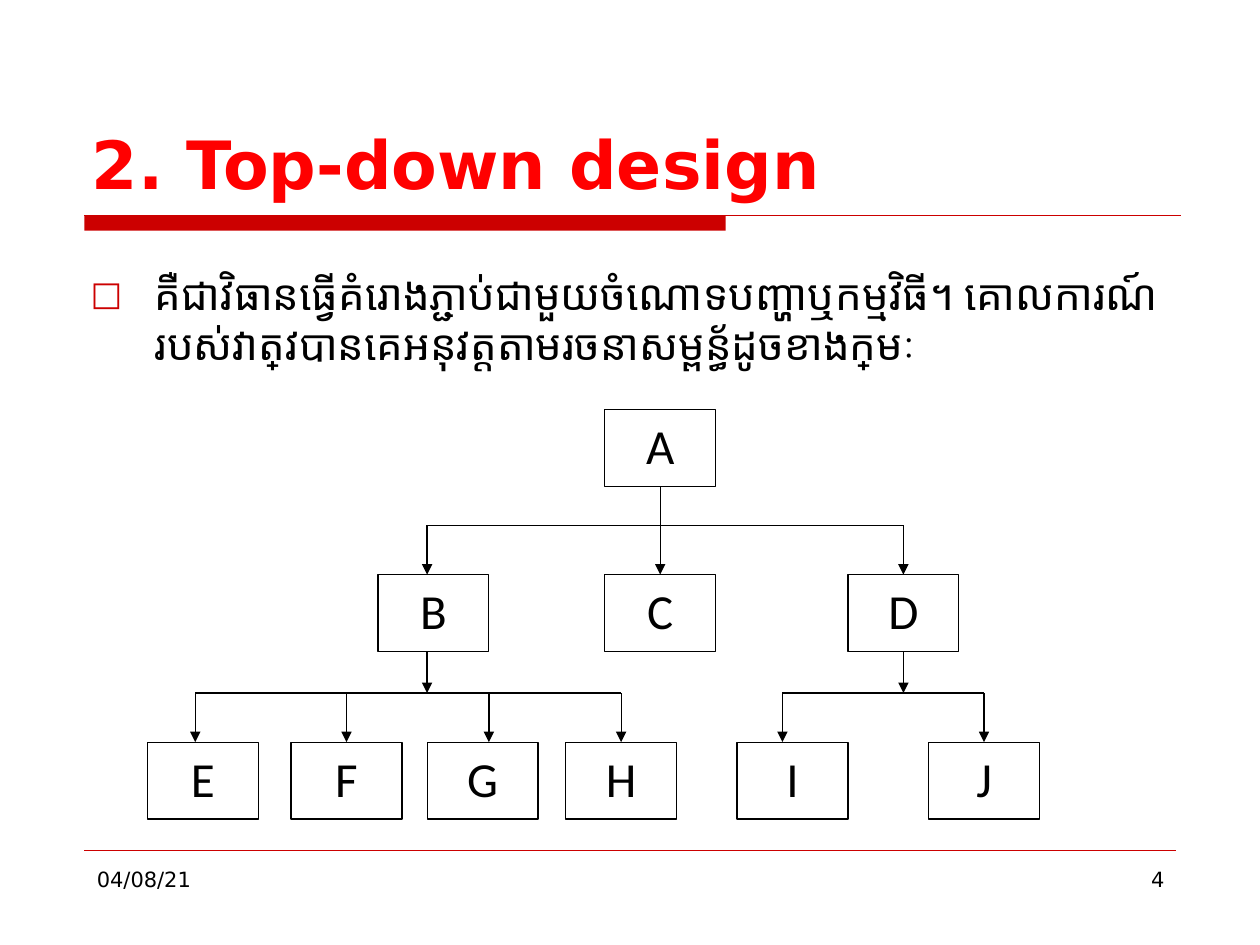
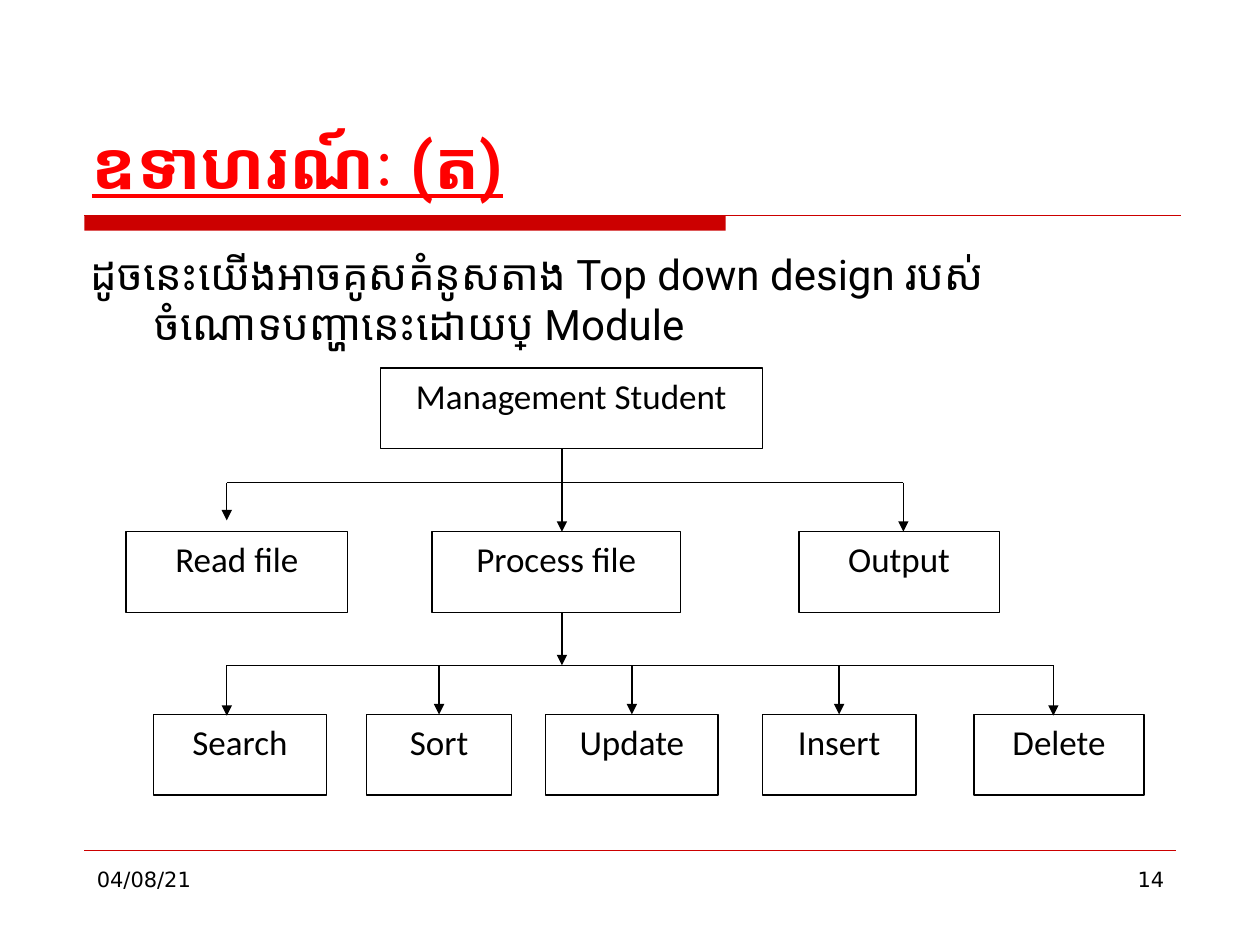
from dataclasses import dataclass

from lxml.etree import SubElement
from pptx import Presentation
from pptx.dml.color import RGBColor
from pptx.enum.shapes import MSO_CONNECTOR, MSO_SHAPE
from pptx.enum.text import MSO_ANCHOR, MSO_AUTO_SIZE, PP_ALIGN
from pptx.oxml.ns import qn
from pptx.util import Inches, Pt


@dataclass(frozen=True)
class Theme:
    red: str = "FF0000"
    band: str = "CC0000"
    ink: str = "000000"
    paper: str = "FFFFFF"
    sans: str = "DejaVu Sans"
    khmer: str = "Roboto"
    label: str = "Calibri"
    title: int = 38
    body: int = 24
    foot: int = 12
    thin: float = 0.25
    line: float = 0.75
    near: float = 0.035  # an arrow this close to a side's middle joins it


def apply(target, values):
    for name, value in values.items():
        setattr(target, name, value)


def sub(parent, tag, **attrs):
    return SubElement(parent, qn(tag), attrs)


class Deck:
    def __init__(self, theme):
        self.theme = theme
        self.file = Presentation()
        apply(self.file, dict(slide_width=Inches(10), slide_height=Inches(7.5)))

    def page(self, number):
        """Start a slide with its title band, footer rule, date and number."""
        t = self.theme
        self.slide = self.file.slides.add_slide(self.file.slide_layouts[1])
        self.shapes = self.slide.shapes
        self.boxes = []
        self.rect(0.67, 1.71, 5.09, 0.12, t.band)
        self.line((0.67, 1.71), (9.37, 1.71), t.band)
        self.line((0.67, 6.75), (9.33, 6.75), t.band, t.thin)
        self.note(0.67, "04/08/21", PP_ALIGN.LEFT)
        self.note(7.17, number, PP_ALIGN.RIGHT)

    def label(self, shape, text, font, size, color=None, align=PP_ALIGN.LEFT,
              anchor=MSO_ANCHOR.TOP, **marks):
        frame = shape.text_frame
        apply(frame, dict(word_wrap=True, auto_size=MSO_AUTO_SIZE.NONE,
                          vertical_anchor=anchor))
        para = frame.paragraphs[0]
        apply(para, dict(alignment=align, space_before=Pt(0)))
        run = para.add_run()
        run.text = text
        apply(run.font, dict(name=font, size=Pt(size), **marks))
        run.font.color.rgb = RGBColor.from_string(color or self.theme.ink)
        sub(run.font._element, "a:cs", typeface=font)
        return para

    def place(self, shape, left, top, width, height):
        apply(shape, dict(left=Inches(left), top=Inches(top),
                          width=Inches(width), height=Inches(height)))

    def title(self, text, font, **marks):
        shape = self.shapes.title
        self.place(shape, 0.63, 0.33, 8.75, 1.33)
        self.label(shape, text, font, self.theme.title, self.theme.red,
                   anchor=MSO_ANCHOR.BOTTOM, bold=True, **marks)

    def body(self, text, top, height, bullet=None):
        t = self.theme
        shape = self.slide.placeholders[1]
        self.place(shape, 0.62, top, 8.75, height)
        para = self.label(shape, text, t.khmer, t.body)
        props = para._p.get_or_add_pPr()
        props.set("marL", str(Inches(0.51)))
        props.set("indent", str(-Inches(0.51)))
        if bullet:
            sub(sub(props, "a:buClr"), "a:srgbClr", val=t.band)
            sub(props, "a:buSzPct", val="80000")
            sub(props, "a:buFont", typeface=t.sans)
            sub(props, "a:buChar", char=bullet)
        else:
            sub(props, "a:buNone")

    def note(self, left, text, align):
        shape = self.shapes.add_textbox(Inches(left), Inches(6.83), Inches(2.17), Inches(0.52))
        self.label(shape, text, self.theme.sans, self.theme.foot, align=align)

    def rect(self, left, top, width, height, fill):
        shape = self.shapes.add_shape(MSO_SHAPE.RECTANGLE, Inches(left), Inches(top),
                                      Inches(width), Inches(height))
        shape.shadow.inherit = False
        shape.fill.solid()
        shape.fill.fore_color.rgb = RGBColor.from_string(fill)
        shape.line.fill.background()
        return shape

    def row(self, top, height, size, cells):
        """Draw one level of boxes; a cell is (text, left, width)."""
        t = self.theme
        for text, left, width in cells:
            box = self.rect(left, top, width, height, t.paper)
            box.line.color.rgb = RGBColor.from_string(t.ink)
            box.line.width = Pt(t.line)
            para = self.label(box, text, t.label, size, align=PP_ALIGN.CENTER)
            para.space_after = Pt(10)
            self.boxes.append((box, left + width / 2, top, top + height))

    def line(self, start, end, color=None, width=None, head=False):
        t = self.theme
        link = self.shapes.add_connector(MSO_CONNECTOR.STRAIGHT,
                                         *map(Inches, (*start, *end)))
        link.line.color.rgb = RGBColor.from_string(color or t.ink)
        link.line.width = Pt(width or t.line)
        if head:
            sub(link.line._get_or_add_ln(), "a:tailEnd", type="triangle")
        sub(link._element.spPr, "a:effectLst")
        return link

    def drop(self, x, top, end):
        """Draw a downward arrow, joined to boxes it meets, and return its x."""
        near = self.theme.near
        close = [item for item in self.boxes if abs(item[1] - x) < near]
        above = [item for item in close if abs(item[3] - top) < near]
        below = [item for item in close if abs(item[2] - end) < near]
        for item in above + below:
            x = item[1]
        link = self.line((x, top), (x, end), head=True)
        if above:
            link.begin_connect(above[0][0], 2)
        if below:
            link.end_connect(below[0][0], 0)
        return x

    def fork(self, y, ends):
        """Draw a bar at y with an arrow from it at each x in ends."""
        spots = [self.drop(x, y, end) for x, end in ends.items()]
        self.line((min(spots), y), (max(spots), y))


def design(deck):
    deck.page("4")
    deck.title("2. Top-down design", deck.theme.sans)
    deck.body("គឺជាវិធានធ្វើគំរោងភ្ជាប់ជាមួយចំណោទបញ្ហាឬកម្មវិធី។ "
              "គោលការណ៍របស់វាត្រូវបានគេអនុវត្តតាមរចនាសម្ពន្ធ័ដូចខាងក្រោមៈ",
              2.08, 4.5, "□")
    levels = {3.25: {"A": 4.8},
              4.56: {"B": 3, "C": 4.8, "D": 6.73},
              5.89: {"E": 1.17, "F": 2.31, "G": 3.39, "H": 4.49, "I": 5.85, "J": 7.37}}
    for top, cells in levels.items():
        deck.row(top, 0.61, 28, [(name, left, 0.88) for name, left in cells.items()])
    deck.drop(5.22, 3.86, 4.56)
    deck.fork(4.17, dict.fromkeys((3.39, 7.2), 4.56))
    for stem, leaves in ((3.39, (1.55, 2.76, 3.88, 4.95)), (7.2, (6.21, 7.83))):
        deck.drop(stem, 5.17, 5.5)
        deck.fork(5.5, dict.fromkeys(leaves, 5.89))


def sample(deck):
    deck.page("14")
    deck.title("ឧទាហរណ៍ៈ (ត)", deck.theme.khmer, underline=True)
    deck.body("ដូចនេះយើងអាចគូសគំនូសតាង Top down design "
              "របស់ចំណោទបញ្ហានេះដោយប្រើ Module", 1.92, 4.67)
    levels = {
        2.92: [("Management Student", 3.02, 3.03)],
        4.22: [("Read file", 1, 1.76), ("Process file", 3.43, 1.97), ("Output", 6.34, 1.59)],
        5.67: [("Search", 1.22, 1.37), ("Sort", 2.91, 1.15), ("Update", 4.33, 1.37),
               ("Insert", 6.05, 1.22), ("Delete", 7.73, 1.35)],
    }
    for top, cells in levels.items():
        deck.row(top, 0.64, 20, cells)
    deck.drop(4.46, 3.56, 4.22)
    deck.fork(3.83, {1.8: 4.13, 7.17: 4.22})
    deck.drop(4.46, 4.86, 5.28)
    deck.fork(5.28, dict.fromkeys((1.8, 3.51, 5, 6.69, 8.36), 5.68))


def main():
    deck = Deck(Theme())
    design(deck)
    sample(deck)
    deck.file.save("out.pptx")


if __name__ == "__main__":
    main()
